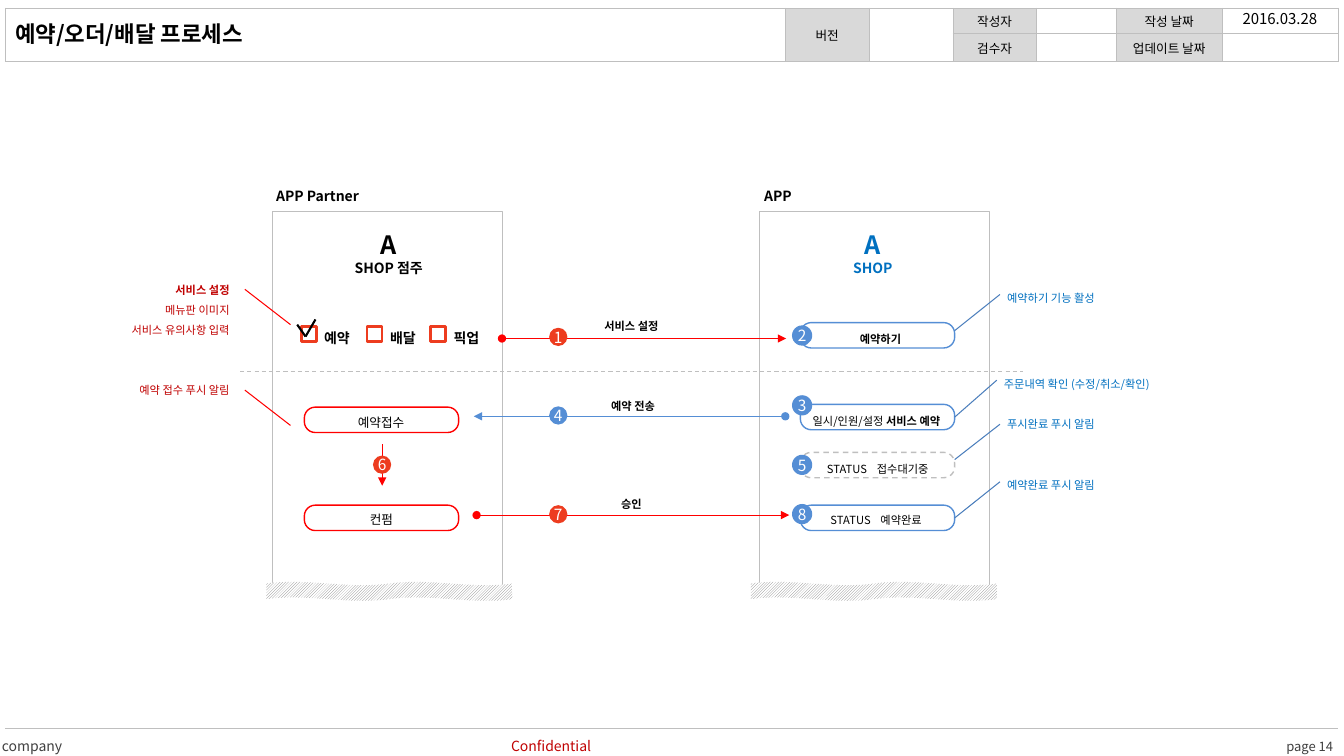
from lxml import etree
from pptx import Presentation
from pptx import util as u
from pptx.dml.color import RGBColor
from pptx.enum import dml, shapes, text
from pptx.oxml import ns


class Theme:
    font = "Noto Sans CJK KR"
    black, white, dark = "000000", "FFFFFF", "404040"
    red, warm, crimson = "FF0000", "ED3C1F", "C00000"
    blue, sky, steel = "558ED5", "0070C0", "4B7EBC"
    border, header, hatch = "BFBFBF", "D9D9D9", "808080"
    title, shop, badge, date, heading = 16, 18, 11, 10.7, 10
    page, cell, note = 9.3, 9, 8


Cm, rgb, qn = u.Cm, RGBColor.from_string, ns.qn
LEFT, CENTER, RIGHT = text.PP_ALIGN.LEFT, text.PP_ALIGN.CENTER, text.PP_ALIGN.RIGHT
TOP, MIDDLE = text.MSO_ANCHOR.TOP, text.MSO_ANCHOR.MIDDLE


def write(frame, paragraphs, align=LEFT, spacing=1.0, tab=None):
    for index, runs in enumerate(paragraphs):
        paragraph = frame.add_paragraph() if index else frame.paragraphs[0]
        paragraph.alignment = align
        paragraph.line_spacing = spacing
        if tab:
            tabs = etree.SubElement(paragraph._p.get_or_add_pPr(), qn("a:tabLst"))
            etree.SubElement(tabs, qn("a:tab"), pos=str(Cm(tab)), algn="l")
        for words, size, color, bold in runs:
            run = paragraph.add_run()
            run.text = words
            run.font.size = u.Pt(size)
            run.font.bold = bold
            run.font.color.rgb = rgb(color)
            run.font.name = Theme.font
            etree.SubElement(run.font._element, qn("a:ea"), typeface=Theme.font)


def connect(start, end, color, width=0.75, head=None, tail=None, dash=False):
    points = [Cm(value) for value in (*start, *end)]
    connector = slide.shapes.add_connector(shapes.MSO_CONNECTOR.STRAIGHT, *points)
    connector.line.color.rgb = rgb(color)
    connector.line.width = u.Pt(width)
    if dash:
        connector.line.dash_style = dml.MSO_LINE.DASH
    properties = connector._element.spPr
    for name, kind in (("a:headEnd", head), ("a:tailEnd", tail)):
        if kind:
            etree.SubElement(properties.find(qn("a:ln")), qn(name), type=kind)
    etree.SubElement(properties, qn("a:effectLst"))
    return connector


presentation = Presentation()
presentation.slide_width, presentation.slide_height = Cm(33.87), Cm(19.05)
slide = presentation.slides.add_slide(presentation.slide_layouts[6])

widths = (19.66, 2.11, 2.11, 2.11, 2.01, 2.67, 2.92)
heights = (0.64, 0.71, 16.81)
table = slide.shapes.add_table(
    3, 7, Cm(0.13), Cm(0.2), Cm(sum(widths)), Cm(sum(heights))).table
table.first_row = table.horz_banding = False
for column, width in zip(table.columns, widths):
    column.width = Cm(width)
for row, height in zip(table.rows, heights):
    row.height = Cm(height)
headers = {(0, 1): "버전", (0, 3): "작성자", (0, 5): "작성 날짜",
           (1, 3): "검수자", (1, 5): "업데이트 날짜"}
for row in range(3):
    for column in range(7):
        cell = table.cell(row, column)
        cell.margin_left = cell.margin_right = cell.margin_top = Cm(0.03)
        cell.margin_bottom = 0
        cell.vertical_anchor = MIDDLE
        properties = cell._tc.get_or_add_tcPr()
        for side in ("a:lnL", "a:lnR", "a:lnT", "a:lnB"):
            border = etree.SubElement(properties, qn(side), w=str(u.Pt(0.25)))
            if row == 2 and side in ("a:lnL", "a:lnR"):
                etree.SubElement(border, qn("a:noFill"))
            else:
                fill = etree.SubElement(border, qn("a:solidFill"))
                etree.SubElement(fill, qn("a:srgbClr"), val=Theme.border)
        if (row, column) in headers:
            cell.fill.solid()
            cell.fill.fore_color.rgb = rgb(Theme.header)
            write(cell.text_frame,
                  [[(headers[row, column], Theme.cell, Theme.black, False)]], CENTER)
        else:
            cell.fill.background()
            etree.SubElement(cell.text_frame.paragraphs[0]._p, qn("a:endParaRPr"),
                             sz=str(Theme.cell * 100))
for column in range(3):
    table.cell(0, column).merge(table.cell(1, column))
table.cell(2, 0).merge(table.cell(2, 6))

for panel_left, wave_left in ((6.86, 6.71), (19.13, 18.92)):
    panel = slide.shapes.add_shape(
        shapes.MSO_SHAPE.RECTANGLE, Cm(panel_left), Cm(5.33), Cm(5.79), Cm(9.65))
    panel.shadow.inherit = False
    panel.fill.solid()
    panel.fill.fore_color.rgb = rgb(Theme.white)
    panel.line.color.rgb = rgb(Theme.border)
    panel.line.width = u.Pt(0.25)
    wave = slide.shapes.add_shape(
        shapes.MSO_SHAPE.DOUBLE_WAVE, Cm(wave_left), Cm(14.66), Cm(6.2), Cm(0.48))
    wave.shadow.inherit = False
    wave.rotation = 180
    wave.adjustments[0], wave.adjustments[1] = 0.09, 0
    wave.fill.patterned()
    wave.fill.pattern = dml.MSO_PATTERN.LIGHT_UPWARD_DIAGONAL
    wave.fill.fore_color.rgb = rgb(Theme.hatch)
    wave.fill.back_color.rgb = rgb(Theme.white)
    wave.line.fill.background()

connect((6.05, 9.35), (25.78, 9.35), Theme.border, dash=True)

pill = (shapes.MSO_SHAPE.ROUNDED_RECTANGLE, 3.89, 0.64, 1)
checkbox = (shapes.MSO_SHAPE.RECTANGLE, 0.38, 0.38, 2)
checkbox_lefts = (7.59, 9.25, 10.85)
boxes = {}
for name, (kind, width, height, weight), left, top, color in (
        ("reserve", pill, 20.17, 8.13, Theme.blue),
        ("order", pill, 20.17, 10.19, Theme.blue),
        ("waiting", pill, 20.17, 11.4, Theme.border),
        ("complete", pill, 20.17, 12.73, Theme.blue),
        ("receive", pill, 7.67, 10.26, Theme.red),
        ("confirm", pill, 7.67, 12.73, Theme.red),
        *((f"check {left}", checkbox, left, 8.23, Theme.warm) for left in checkbox_lefts)):
    shape = slide.shapes.add_shape(kind, Cm(left), Cm(top), Cm(width), Cm(height))
    shape.shadow.inherit = False
    shape.fill.solid()
    shape.fill.fore_color.rgb = rgb(Theme.white)
    shape.line.color.rgb = rgb(color)
    shape.line.width = u.Pt(weight)
    if kind == shapes.MSO_SHAPE.ROUNDED_RECTANGLE:
        shape.adjustments[0] = 0.43
    if name == "waiting":
        shape.line.dash_style = dml.MSO_LINE.DASH
    boxes[name] = shape

connect((7.49, 8.18), (7.7, 8.48), Theme.black, 1.5)
connect((7.7, 8.48), (7.95, 8.05), Theme.black, 1.5)
for start, end, color, head in (
        ((12.65, 8.53), (19.81, 8.53), Theme.red, "oval"),
        ((19.79, 10.49), (11.94, 10.49), Theme.blue, "oval"),
        ((12.01, 12.98), (19.89, 12.98), Theme.red, "oval"),
        ((9.63, 11.2), (9.63, 12.24), Theme.red, None)):
    connect(start, end, color, head=head, tail="triangle")
for top in (7.29, 9.83):
    connect((6.17, top), (7.32, top + 0.89), Theme.red)
for start_y, end, joined in (
        (8.33, (25.2, 7.42), None), (10.51, (25.12, 9.58), "order"),
        (11.58, (25.2, 10.69), None), (13.05, (25.2, 12.14), "complete")):
    callout = connect((24.06, start_y), end, Theme.steel)
    if joined:
        callout.begin_connect(boxes[joined], 3)

labels = [
    (6.78, 4.42, 3.99, 0.81, LEFT, 1.5, None, [[("APP Partner", Theme.heading, Theme.black, True)]]),
    (19.08, 4.42, 3.99, 0.74, LEFT, 1.5, None, [[("APP", Theme.heading, Theme.black, True)]]),
    (7.8, 5.69, 3.99, 1.37, CENTER, 1, None, [
        [("A", Theme.shop, Theme.black, True)], [("SHOP 점주", Theme.heading, Theme.black, True)]]),
    (20.0, 5.69, 3.99, 1.37, CENTER, 1, None, [
        [("A", Theme.shop, Theme.sky, True)], [("SHOP", Theme.heading, Theme.sky, True)]]),
    (20.3, 10.16, 3.76, 0.69, LEFT, 1.5, None, [
        [("일시/인원/설정 ", Theme.note, Theme.black, False), ("서비스 예약", Theme.note, Theme.black, True)]]),
    (2.34, 6.86, 3.63, 1.73, RIGHT, 1.5, None, [
        [("서비스 설정", Theme.note, Theme.crimson, True)],
        [("메뉴판 이미지", Theme.note, Theme.crimson, False)],
        [("서비스 유의사항 입력", Theme.note, Theme.crimson, False)]]),
    (2.34, 9.4, 3.63, 0.69, RIGHT, 1.5, None, [[("예약 접수 푸시 알림", Theme.note, Theme.crimson, False)]]),
    (21.49, 8.1, 3.1, 0.64, LEFT, 1.5, None, [[("예약하기", Theme.note, Theme.black, True)]]),
]
for left, words in zip(checkbox_lefts, ("예약", "배달", "픽업")):
    labels.append((left + 0.4, 7.98, 1.47, 0.81, LEFT, 1.5, None,
                   [[(words, Theme.heading, Theme.black, True)]]))
for left, top, words in ((8.84, 10.16, "예약접수"), (9.14, 12.62, "컨펌")):
    labels.append((left, top, 1.96, 0.76, LEFT, 1.5, None,
                   [[(words, Theme.cell, Theme.black, False)]]))
for left, top, words in ((20.66, 11.38, "STATUS\t접수대기중"), (20.75, 12.67, "STATUS\t예약완료")):
    labels.append((left, top, 3.6, 0.69, LEFT, 1.5, 1.26,
                   [[(words, Theme.note, Theme.black, False)]]))
for left, top, words in ((14.63, 7.77, "서비스 설정"), (14.67, 9.8, "예약 전송"), (14.63, 12.27, "승인")):
    labels.append((left, top, 2.57, 0.69, CENTER, 1.5, None,
                   [[(words, Theme.note, Theme.black, True)]]))
for left, top, words in (
        (25.2, 7.06, "예약하기 기능 활성"), (25.12, 9.25, "주문내역 확인 (수정/취소/확인)"),
        (25.2, 10.26, "푸시완료 푸시 알림"), (25.2, 11.79, "예약완료 푸시 알림")):
    labels.append((left, top, 5.94, 0.69, LEFT, 1.5, None,
                   [[(words, Theme.note, Theme.sky, False)]]))
frame_labels = [
    (0.2, 0.41, 15.12, 0.86, LEFT, 1, None, [[("예약/오더/배달 프로세스", Theme.title, Theme.black, True)]]),
    (30.73, 0.13, 3.05, 0.66, CENTER, 1, None, [[("2016.03.28", Theme.date, Theme.black, False)]]),
    (-0.13, 18.42, 5, 0.76, LEFT, 1, None, [[("company", Theme.heading, Theme.dark, False)]]),
    (12.7, 18.42, 4, 0.76, LEFT, 1, None, [[("Confidential", Theme.heading, Theme.crimson, False)]]),
    (32.14, 18.42, 1.73, 0.76, CENTER, 1, None, [[("page 14", Theme.page, Theme.dark, False)]]),
]
for anchor, group in ((TOP, labels), (MIDDLE, frame_labels)):
    for left, top, width, height, align, spacing, tab, paragraphs in group:
        box = slide.shapes.add_textbox(Cm(left), Cm(top), Cm(width), Cm(height))
        frame = box.text_frame
        frame.word_wrap = True
        frame.vertical_anchor = anchor
        frame.margin_left = frame.margin_right = Cm(0.18)
        frame.margin_top = frame.margin_bottom = Cm(0.1)
        write(frame, paragraphs, align, spacing, tab)

for number, left, top, size, color in (
        (1, 13.84, 8.26, 0.46, Theme.warm), (2, 19.96, 8.2, 0.51, Theme.blue),
        (3, 19.96, 9.96, 0.51, Theme.blue), (4, 13.84, 10.24, 0.46, Theme.blue),
        (5, 19.96, 11.46, 0.51, Theme.blue), (6, 9.4, 11.48, 0.46, Theme.warm),
        (7, 13.84, 12.73, 0.46, Theme.warm), (8, 19.96, 12.7, 0.51, Theme.blue)):
    badge = slide.shapes.add_shape(
        shapes.MSO_SHAPE.OVAL, Cm(left), Cm(top), Cm(size), Cm(size))
    badge.shadow.inherit = False
    badge.fill.solid()
    badge.fill.fore_color.rgb = rgb(color)
    badge.line.fill.background()
    frame = badge.text_frame
    frame.margin_left = frame.margin_right = frame.margin_top = frame.margin_bottom = 0
    frame.word_wrap = False
    frame.vertical_anchor = MIDDLE
    write(frame, [[(str(number), Theme.badge, Theme.white, False)]], CENTER)

presentation.save("out.pptx")
